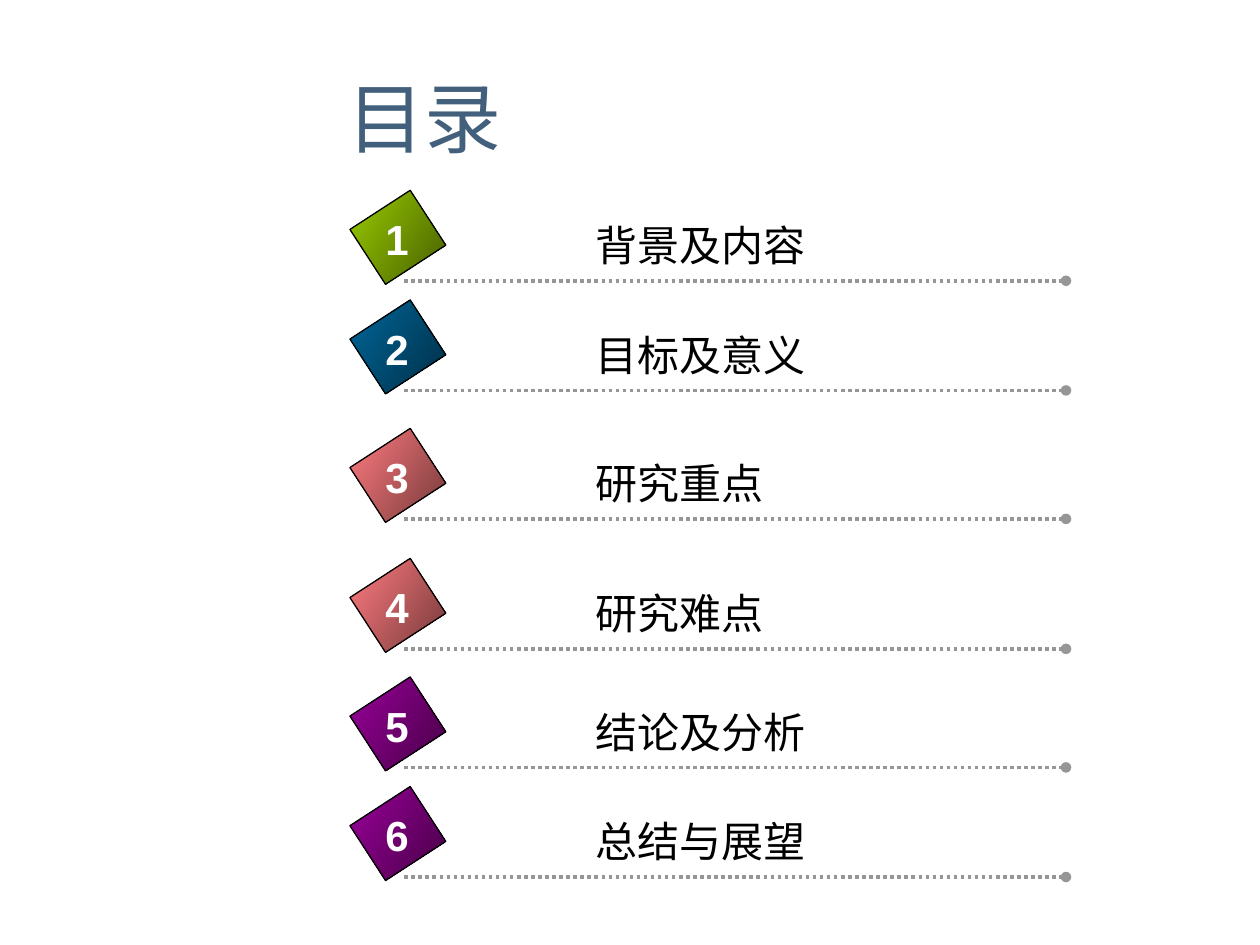
from pptx import Presentation
from pptx.dml.color import RGBColor
from pptx.enum.dml import MSO_LINE
from pptx.enum.shapes import MSO_CONNECTOR, MSO_SHAPE
from pptx.enum.text import MSO_ANCHOR, MSO_AUTO_SIZE, PP_ALIGN
from pptx.oxml.ns import qn
from pptx.util import Cm, Pt
from lxml.etree import SubElement

TITLE = "目录"
# label, tile colours, height of the dotted rule in cm
ITEMS = [
    ("背景及内容", "green", 5.66),
    ("目标及意义", "blue", 7.87),
    ("研究重点", "red", 10.46),
    ("研究难点", "red", 13.08),
    ("结论及分析", "purple", 15.47),
    ("总结与展望", "purple", 17.68),
]
THEME = {
    "title": ("Calibri", 44, "42607C", False),
    "label": ("Arial", 24, "000000", False),
    "number": ("Arial", 24, "FFFFFF", True),
    "rule": "969696",
    "edge": "000000",
    "green": ("99CC00", "475E00"),
    "blue": ("006699", "002F47"),
    "red": ("FF7C80", "76393B"),
    "purple": ("990099", "470047"),
}


def color(code):
    return RGBColor.from_string(code)


def add_text(shapes, text, style, left, top, width, height):
    box = shapes.add_textbox(Cm(left), Cm(top), Cm(width), Cm(height))
    run = box.text_frame.paragraphs[0].add_run()
    run.text = text
    font = run.font
    font.name, size, code, font.bold = THEME[style]
    font.size = Pt(size)
    font.color.rgb = color(code)
    return box.text_frame


def fit(frame):
    frame.word_wrap = False
    frame.auto_size = MSO_AUTO_SIZE.SHAPE_TO_FIT_TEXT


def add_rule(shapes, y):
    """Dotted line that ends in a round dot."""
    rule = shapes.add_connector(
        MSO_CONNECTOR.STRAIGHT, Cm(8.15), Cm(y), Cm(21.49), Cm(y))
    rule.line.color.rgb = color(THEME["rule"])
    rule.line.width = Pt(2)
    rule.line.dash_style = MSO_LINE.ROUND_DOT
    SubElement(rule.line._get_or_add_ln(), qn("a:tailEnd"), type="oval")
    SubElement(rule._element.spPr, qn("a:effectLst"))


def add_tile(shapes, y, shades):
    """Tilted square whose gradient keeps its own direction."""
    tile = shapes.add_shape(
        MSO_SHAPE.RECTANGLE, Cm(7.36), Cm(y - 1.6), Cm(1.32), Cm(1.45))
    tile.rotation = 57
    tile.shadow.inherit = False
    tile.fill.gradient()
    tile.fill.gradient_angle = 360 - 33
    tile._element.spPr.find(qn("a:gradFill")).set("rotWithShape", "0")
    for stop, place, code in zip(tile.fill.gradient_stops, (0, 1), shades):
        stop.position = place
        stop.color.rgb = color(code)
    tile.line.color.rgb = color(THEME["edge"])
    tile.line.width = Pt(0.75)


def add_item(slide, number, label, hue, y):
    shapes = slide.shapes.add_group_shape().shapes
    add_rule(shapes, y)
    add_tile(shapes, y, THEME[hue])
    width = 0.55 + 0.85 * len(label)
    fit(add_text(shapes, label, "label", 11.76, y - 1.36, width, 1.27))
    frame = add_text(shapes, str(number), "number", 7.52, y - 1.48, 0.97, 1.27)
    frame.paragraphs[0].alignment = PP_ALIGN.CENTER
    fit(frame)


def main():
    deck = Presentation()
    deck.slide_width, deck.slide_height = Cm(25.4), Cm(19.05)
    slide = deck.slides.add_slide(deck.slide_layouts[6])
    head = add_text(slide.shapes, TITLE, "title", 6.76, 0.76, 17.37, 3.18)
    head.word_wrap = True
    head.vertical_anchor = MSO_ANCHOR.MIDDLE
    for number, item in enumerate(ITEMS, 1):
        add_item(slide, number, *item)
    deck.save("out.pptx")


if __name__ == "__main__":
    main()
